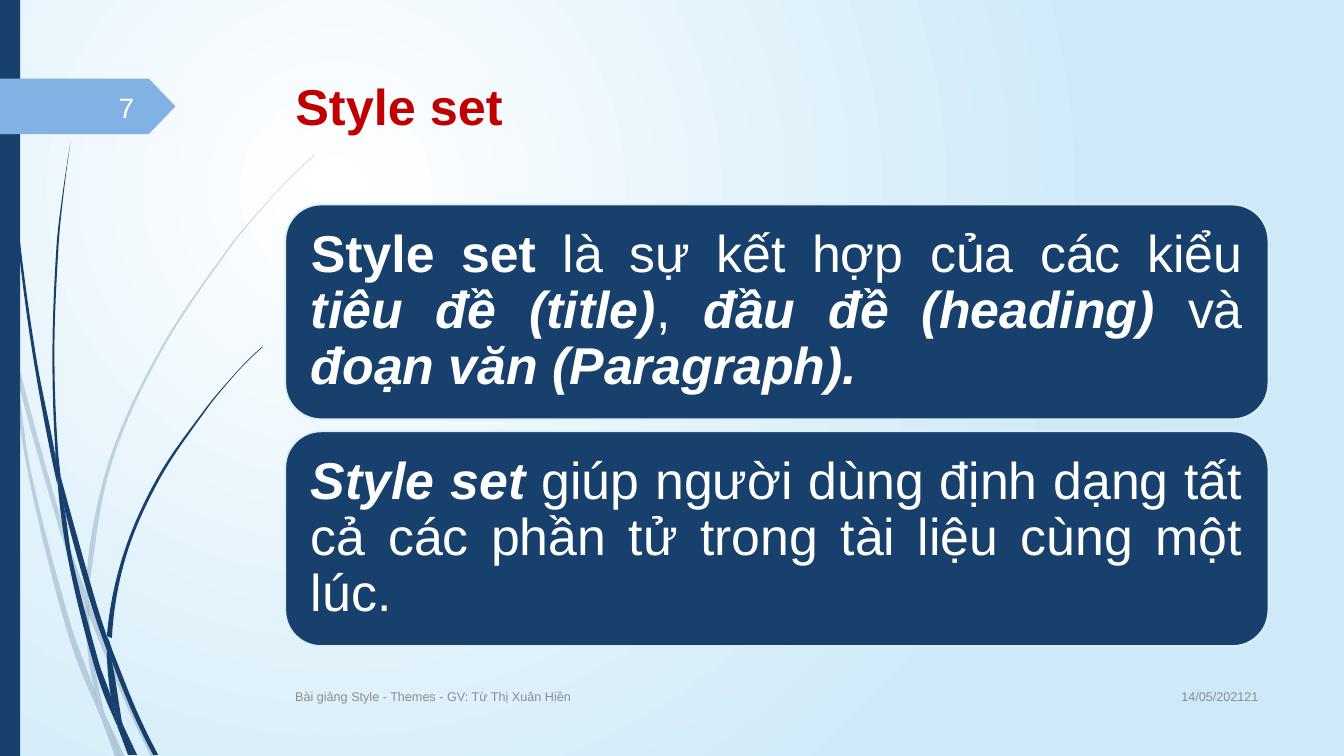
from dataclasses import dataclass
from math import dist

from lxml.etree import SubElement
from pptx import Presentation
from pptx.dml.color import RGBColor
from pptx.enum.shapes import MSO_SHAPE as Preset
from pptx.enum.text import MSO_ANCHOR as Anchor, PP_ALIGN as Align
from pptx.oxml.ns import qn
from pptx.util import Emu, Pt

PX = 9144  # EMU in one px, 100 px to the inch
TITLE_ONLY = 5


@dataclass(frozen=True)
class Theme:
    font: str = "Arial"
    navy: str = "17406D"
    sky: str = "82B1E4"
    pale: str = "CEEAF9"
    card_line: str = "DBEFF9"
    red: str = "C00000"
    grey: str = "8C8C8C"
    white: str = "FFFFFF"
    number_white: str = "FEFFFF"
    title_size: int = 36
    card_size: int = 37
    number_size: int = 20
    footer_size: int = 9


THEME = Theme()

# Each card is a list of (text, bold, italic)
CARDS = [
    [("Style set ", True, False),
     ("là sự kết hợp của các kiểu ", False, False),
     ("tiêu đề (title)", True, True),
     (", ", False, False),
     ("đầu đề (heading) ", True, True),
     ("và ", False, False),
     ("đoạn văn (Paragraph).", True, True)],
    [("Style set ", True, True),
     ("giúp người dùng định dạng tất cả các phần tử trong tài liệu cùng một lúc.",
      False, False)],
]

# Grass blades: the points along one edge, then back along the other
PALE_GRASS = [
    ([(0, 282), (9, 322), (11, 350)], [(11, 350), (10, 344), (0, 299)]),
    ([(14, 345), (62, 520), (85, 586)], [(84, 599), (58, 522), (17, 376)]),
    ([(88, 596), (92, 607), (127, 692), (155, 751)], [(150, 751), (123, 694), (88, 610)]),
    ([(105, 711), (124, 751)], [(119, 751), (105, 711)]),
    ([(11, 350), (17, 376), (31, 469), (70, 619), (93, 683), (99, 707), (101, 714)],
     [(92, 693), (65, 621), (28, 470), (11, 350)]),
    ([(84, 599), (88, 608), (91, 646), (103, 706), (105, 711)],
     [(96, 692), (93, 683), (87, 646), (84, 599)]),
    ([(85, 584), (107, 461), (158, 348), (228, 244), (268, 197), (289, 175), (312, 153)],
     [(312, 154), (290, 175), (268, 198), (229, 245), (160, 349), (110, 462), (88, 584),
      (88, 596)]),
    ([(101, 714), (119, 751)], [(114, 751), (101, 714)]),
    ([(85, 586), (88, 596), (88, 610)], [(88, 608), (84, 599)]),
    ([(93, 683), (96, 692), (105, 711), (119, 751)], [(101, 714), (99, 707)]),
]
NAVY_GRASS = [
    ([(4, 0), (5, 48), (8, 109), (19, 232), (36, 355), (55, 453), (57, 481)],
     [(56, 477), (33, 355), (17, 233), (7, 110), (4, 48), (3, 0)]),
    ([(60, 472), (93, 590), (106, 631)], [(106, 645), (88, 592), (64, 505)]),
    ([(110, 641), (113, 649), (136, 706), (157, 749)], [(152, 749), (132, 708), (111, 656)]),
    ([(57, 477), (64, 505), (72, 556), (98, 657), (110, 691), (116, 717), (117, 722)],
     [(111, 708), (93, 659), (68, 557), (57, 477)]),
    ([(70, 141), (62, 193), (56, 245), (52, 349), (55, 449), (60, 472)],
     [(58, 453), (54, 349), (58, 245), (63, 193), (70, 141)]),
    ([(122, 719), (136, 749)], [(133, 749), (122, 719)]),
    ([(55, 449), (60, 472), (64, 505)], [(57, 477), (55, 453)]),
    ([(106, 631), (122, 551), (156, 474), (204, 405), (231, 373), (245, 358), (260, 344)],
     [(261, 344), (245, 359), (231, 374), (205, 406), (158, 476), (125, 552), (111, 633)]),
    ([(117, 722), (131, 749)], [(127, 749), (117, 722)]),
    ([(106, 645), (111, 656), (121, 716), (122, 719)], [(116, 706), (110, 691), (106, 645)]),
    ([(106, 631), (110, 641), (111, 656)], [(109, 651), (106, 645)]),
    ([(110, 691), (116, 706), (122, 719), (133, 749)], [(130, 749), (117, 722), (116, 717)]),
]


def emu(*lengths):
    return [Emu(length * PX) for length in lengths]


def rgb(color):
    return RGBColor.from_string(color)


def paint(shape, color, opacity=100):
    shape.shadow.inherit = False
    shape.fill.solid()
    shape.fill.fore_color.rgb = rgb(color)
    shape.line.fill.background()
    if opacity < 100:
        tint = shape.fill._xPr.find(f".//{qn('a:srgbClr')}")
        SubElement(tint, qn("a:alpha"), val=str(opacity * 1000))


def style(para, size, color, align=Align.LEFT, bold=None):
    para.alignment = align
    font = para.font
    font.name, font.size, font.bold = THEME.font, Pt(size), bold
    font.color.rgb = rgb(color)


def set_background(slide):
    fill = slide.background.fill
    fill.gradient()
    for stop, color in zip(fill.gradient_stops, (THEME.white, THEME.pale)):
        stop.color.rgb = rgb(color)
    gradient = fill._xPr.find(qn("a:gradFill"))
    gradient.remove(gradient.find(qn("a:lin")))
    circle = SubElement(gradient, qn("a:path"), {"path": "circle"})
    SubElement(circle, qn("a:fillToRect"), l="50000", t="50000", r="100000", b="100000")


def unit(start, end):
    return complex(end[0] - start[0], end[1] - start[1]) / dist(start, end)


def edge_curves(points):
    """Bezier segments (control, control, end) that run softly through the points."""
    headings = [unit(before, after) for before, after in zip(points, points[2:])]
    first, last = unit(*points[:2]), unit(*points[-2:])
    if headings:  # the ends bend as an arc does
        first, last = first**2 / headings[0], last**2 / headings[-1]
    headings = [first, *headings, last]
    curves = []
    for start, end, leave, arrive in zip(points, points[1:], headings, headings[1:]):
        reach = dist(start, end) / 3
        curves.append(((start[0] + reach * leave.real, start[1] + reach * leave.imag),
                       (end[0] - reach * arrive.real, end[1] - reach * arrive.imag), end))
    return curves


def add_blade(slide, edges, opacity):
    there, back = edges
    curves = edge_curves(there)
    if there[-1] != back[0]:
        curves.append((there[-1], back[0], back[0]))
    curves += edge_curves(back)
    builder = slide.shapes.build_freeform(*emu(*there[0]))
    builder.add_line_segments([emu(*end) for _, _, end in curves], close=True)
    blade = builder.convert_to_shape()
    paint(blade, THEME.navy, opacity)
    # Bend each straight segment
    for segment, points in zip(list(blade._element.iter(qn("a:lnTo"))), curves):
        bend = SubElement(segment.getparent(), qn("a:cubicBezTo"))
        for x, y in points:
            SubElement(bend, qn("a:pt"), x=str(round(x * PX) - blade.left),
                       y=str(round(y * PX) - blade.top))
        segment.getparent().replace(segment, bend)


def add_block(slide, preset, place, color):
    block = slide.shapes.add_shape(preset, *emu(*place))
    paint(block, color)
    return block


def add_title(slide, text, place):
    title = slide.shapes.title
    title.left, title.top, title.width, title.height = emu(*place)
    title.text_frame.vertical_anchor = Anchor.TOP
    title.text_frame.text = text
    style(title.text_frame.paragraphs[0], THEME.title_size, THEME.red, bold=True)


def add_card(slide, spans, place):
    card = add_block(slide, Preset.ROUNDED_RECTANGLE, place, THEME.navy)
    card.line.color.rgb = rgb(THEME.card_line)
    card.line.width = Pt(1.25)
    frame = card.text_frame
    frame.word_wrap, frame.vertical_anchor = True, Anchor.MIDDLE
    frame.margin_left = frame.margin_right = frame.margin_top = frame.margin_bottom = emu(15)[0]
    para = frame.paragraphs[0]
    style(para, THEME.card_size, THEME.white, Align.JUSTIFY)
    para.line_spacing = 0.9
    for text, bold, italic in spans:
        span = para.add_run()
        span.text, span.font.bold, span.font.italic = text, bold, italic


def add_label(slide, text, place, size, color, align=Align.LEFT):
    frame = slide.shapes.add_textbox(*emu(*place)).text_frame
    frame.word_wrap, frame.vertical_anchor = True, Anchor.MIDDLE
    frame.text = text
    style(frame.paragraphs[0], size, color, align)


def main():
    deck = Presentation()
    deck.slide_width, deck.slide_height = emu(1333, 750)
    slide = deck.slides.add_slide(deck.slide_layouts[TITLE_ONLY])
    set_background(slide)

    # Grass and side bar
    for blades, opacity in ((PALE_GRASS, 20), (NAVY_GRASS, 100)):
        for edges in blades:
            add_blade(slide, edges, opacity)
    add_block(slide, Preset.RECTANGLE, (0, 0, 20, 750), THEME.navy)

    # Page number tag
    tag = add_block(slide, Preset.PENTAGON, (0, 78, 174, 55), THEME.sky)
    tag.adjustments[0] = 0.48
    add_label(slide, "7", (58, 86, 85, 40), THEME.number_size, THEME.number_white, Align.RIGHT)

    # Title and cards
    add_title(slide, "Style set", (283, 69, 975, 105))
    for row, spans in enumerate(CARDS):
        add_card(slide, spans, (283, 203 + 225 * row, 975, 213))

    # Footer
    add_label(slide, "14/05/202121", (1133, 670, 125, 41), THEME.footer_size, THEME.grey, Align.RIGHT)
    add_label(slide, "Bài giảng Style - Themes - GV: Từ Thị Xuân Hiền", (283, 671, 833, 40),
              THEME.footer_size, THEME.grey)
    deck.save("out.pptx")


if __name__ == "__main__":
    main()
